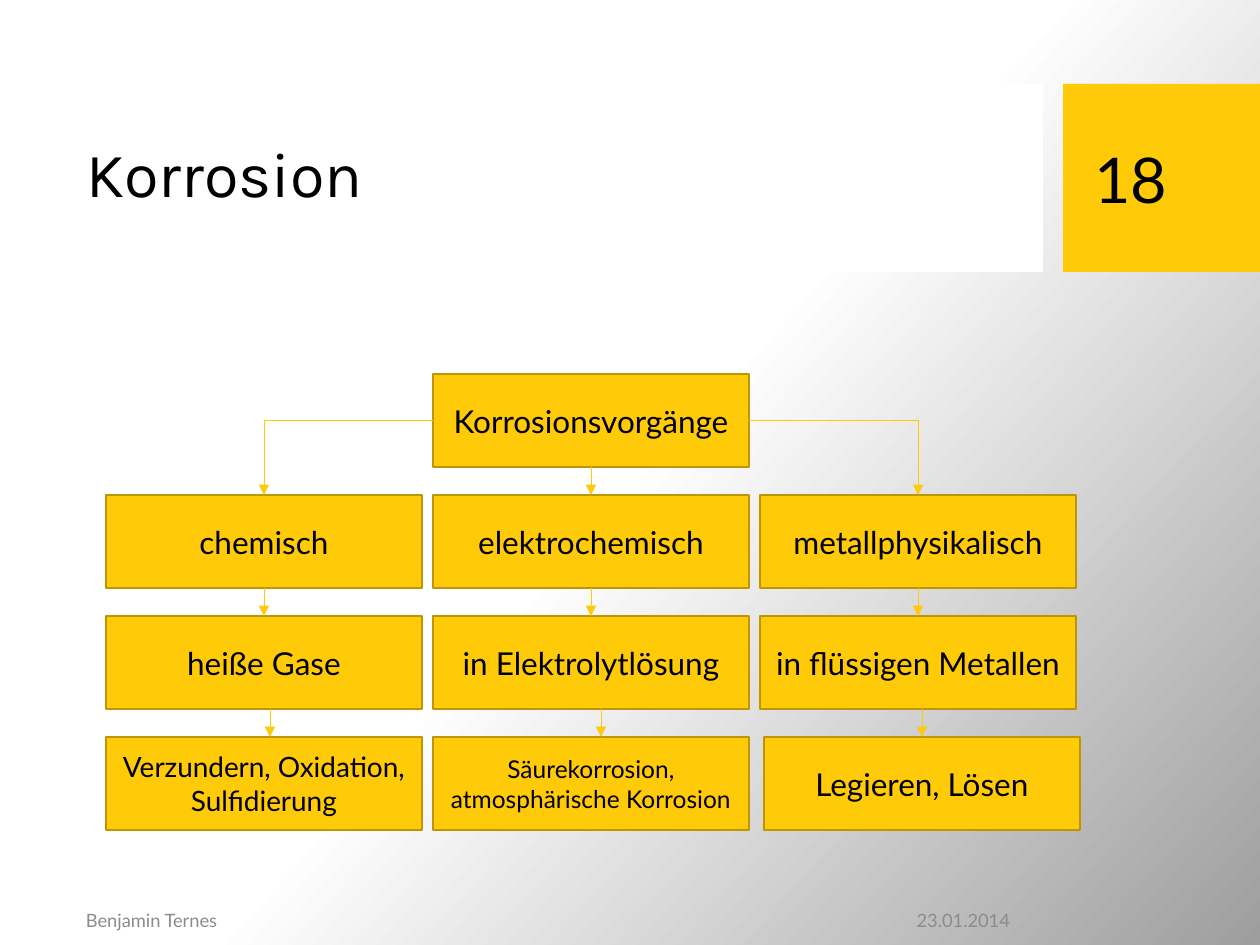
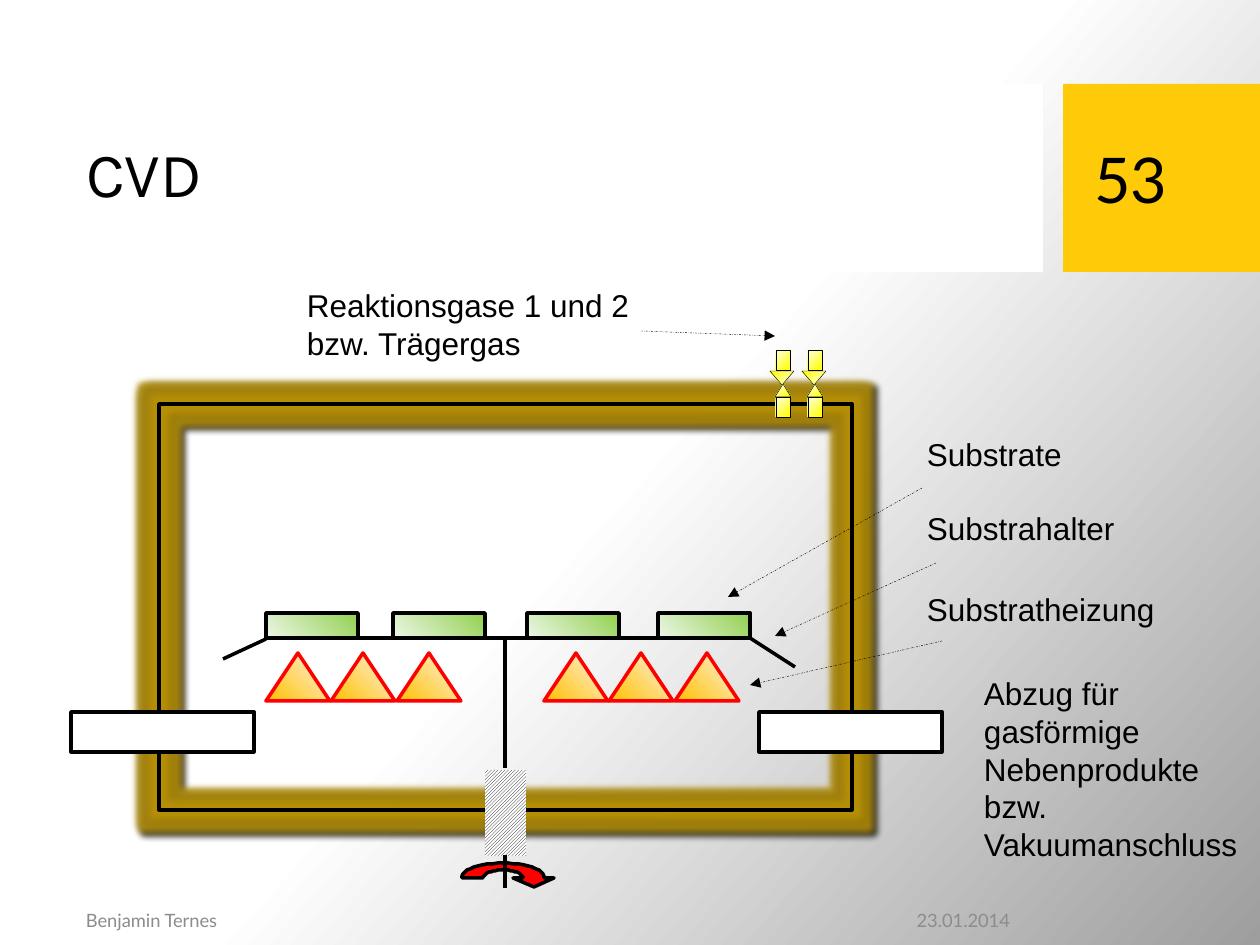
"""Build two slides: a chart of corrosion processes and a CVD reactor sketch."""
import math

from lxml import etree
from pptx import Presentation
from pptx import util as u
from pptx.dml.color import RGBColor
from pptx.enum import dml, shapes, text
from pptx.oxml.ns import qn

PX = 914400 / 126
BLACK, WHITE, GOLD, DARK_GOLD, GREY = "000000", "FFFFFF", "FFCA08", "BD9506", "8C8C8C"
RED = "FF0000"
RECT = shapes.MSO_SHAPE.RECTANGLE
TRIANGLE = shapes.MSO_SHAPE.ISOSCELES_TRIANGLE
STRAIGHT, ELBOW = shapes.MSO_CONNECTOR.STRAIGHT, shapes.MSO_CONNECTOR.ELBOW
LEFT, CENTER, RIGHT = text.PP_ALIGN.LEFT, text.PP_ALIGN.CENTER, text.PP_ALIGN.RIGHT
TOP, MIDDLE = text.MSO_ANCHOR.TOP, text.MSO_ANCHOR.MIDDLE


def paint(fill, *colours, angle=0):
    if not colours:
        fill.background()
    elif len(colours) == 1:
        fill.solid()
        fill.fore_color.rgb = RGBColor.from_string(colours[0])
    else:
        fill.gradient()
        fill.gradient_angle = 360 - angle
        for stop, colour in zip(fill.gradient_stops, colours):
            stop.color.rgb = RGBColor.from_string(colour)


def place(slide, box, words="", kind=None, fill=(), angle=0, line=(), width=1,
          size=18, font="Lato", colour=BLACK, align=LEFT, anchor=MIDDLE,
          inset=(13, 6), spacing=None):
    spot = [round(n * PX) for n in box]
    if kind is None:
        item = slide.shapes.add_textbox(*spot)
    else:
        item = slide.shapes.add_shape(kind, *spot)
        item.shadow.inherit = False
        paint(item.fill, *fill, angle=angle)
        paint(item.line.fill, *line)
        if line:
            item.line.width = u.Pt(width)
    if words:
        frame = item.text_frame
        frame.word_wrap = True
        frame.vertical_anchor = anchor
        frame.margin_left = frame.margin_right = round(inset[0] * PX)
        frame.margin_top = frame.margin_bottom = round(inset[1] * PX)
        for i, part in enumerate(words.split("\n")):
            paragraph = frame.add_paragraph() if i else frame.paragraphs[0]
            paragraph.alignment = align
            paragraph.line_spacing = spacing
            run = paragraph.add_run()
            run.text = part
            run.font.size = u.Pt(size)
            run.font.name = font
            paint(run.font.fill, colour)
    return item


deck = Presentation()
deck.slide_width, deck.slide_height = round(1260 * PX), round(945 * PX)
strokes = []

for title, number in (("Korrosion", "18"), ("CVD", "53")):
    slide = deck.slides.add_slide(deck.slide_layouts[6])
    backdrop = slide.background.fill
    paint(backdrop, WHITE, "9E9E9E", angle=42)
    backdrop.gradient_stops[0].position = 0.5
    place(slide, (0, 84, 1043, 188), kind=RECT, fill=[WHITE])
    place(slide, (1063, 84, 197, 188), kind=RECT, fill=[GOLD])
    place(slide, (73, 103, 950, 149), title, size=36, font="Karla", spacing=0.9)
    place(slide, (740, 895, 283, 50), "23.01.2014", size=10.5, colour=GREY, align=RIGHT)
    place(slide, (73, 895, 667, 50), "Benjamin Ternes", size=10.5, colour=GREY)
    place(slide, (1081, 103, 160, 150), number, size=36)
corrosion, cvd = deck.slides

BOX_W, BOX_H, COLUMN_STEP, ROW_STEP = 316, 93, 327, 121
processes = [
    (0, 1, 0, 18, "Korrosionsvorgänge"),
    (1, 0, 0, 18, "chemisch"),
    (1, 1, 0, 18, "elektrochemisch"),
    (1, 2, 0, 18, "metallphysikalisch"),
    (2, 0, 0, 18, "heiße Gase"),
    (2, 1, 0, 18, "in Elektrolytlösung"),
    (2, 2, 0, 18, "in flüssigen Metallen"),
    (3, 0, 0, 16, "Verzundern, Oxidation, Sulfidierung"),
    (3, 1, 0, 14, "Säurekorrosion,\natmosphärische Korrosion"),
    (3, 2, 4, 18, "Legieren, Lösen"),
]
boxes = {}
for row, column, shift, size, words in processes:
    spot = (106 + column * COLUMN_STEP + shift, 374 + row * ROW_STEP, BOX_W, BOX_H)
    boxes[row, column] = place(corrosion, spot, words, kind=RECT, fill=[GOLD],
                               line=[DARK_GOLD], size=size, align=CENTER)

root = boxes[0, 1]
joins = [(STRAIGHT, root, 2, boxes[1, 1]),
         (ELBOW, root, 1, boxes[1, 0]),
         (ELBOW, root, 3, boxes[1, 2])]
joins += [(STRAIGHT, boxes[1, column], 2, boxes[2, column]) for column in range(3)]
for kind, source, side, target in joins:
    arrow = corrosion.shapes.add_connector(kind, 0, 0, 0, 0)
    arrow.begin_connect(source, side)
    arrow.end_connect(target, 0)
    if kind == ELBOW:
        arrow._element.spPr.find(qn("a:prstGeom")).set("prst", "bentConnector2")
    strokes.append((arrow, GOLD, 0.5, None, True))
for column, x in enumerate((270, 601, 922)):
    ends = [round(n * PX) for n in (x, 709, x, 737)]
    arrow = corrosion.shapes.add_connector(STRAIGHT, *ends)
    if column == 2:
        arrow.end_connect(boxes[3, column], 0)
    strokes.append((arrow, GOLD, 0.5, None, True))

chamber = place(cvd, (159, 404, 693, 406), kind=RECT, line=[BLACK], width=2)
effects = chamber._element.spPr.find(qn("a:effectLst"))
glow = etree.SubElement(effects, qn("a:glow"), rad="101600")
glow_colour = etree.SubElement(glow, qn("a:srgbClr"), val=DARK_GOLD)
etree.SubElement(glow_colour, qn("a:alpha"), val="80000")
shade = etree.SubElement(effects, qn("a:outerShdw"), dist="35560", dir="2700000")
etree.SubElement(shade, qn("a:srgbClr"), val=BLACK)

for x in (71, 759):
    place(cvd, (x, 712, 183, 40), kind=RECT, fill=[WHITE], line=[BLACK], width=2)

shaft = place(cvd, (485, 770, 41, 86), kind=RECT)
shaft.fill.patterned()
shaft.fill.pattern = dml.MSO_PATTERN.DARK_UPWARD_DIAGONAL
shaft.fill.fore_color.rgb = RGBColor.from_string("0C0C0C")
shaft.fill.back_color.rgb = RGBColor.from_string(WHITE)

angles = [math.pi * step / 24 for step in range(25)]
inner = [(503 + 20 * math.cos(a), 878 - 8 * math.sin(a)) for a in angles]
outer = [(503 - 41 * math.cos(a), 878 - 15 * math.sin(a)) for a in angles]
outline = inner + outer + [(554, 878), (534, 887), (513, 878)]
builder = cvd.shapes.build_freeform(*outline[0], scale=PX)
builder.add_line_segments(outline[1:], close=True)
rotation = builder.convert_to_shape()
rotation.shadow.inherit = False
paint(rotation.fill, RED)
paint(rotation.line.fill, BLACK)
rotation.line.width = u.Pt(2)

for x in (266, 393, 527, 658):
    place(cvd, (x, 613, 92, 25), kind=RECT, fill=["EEF7E9", "92D050"], angle=315,
          line=[BLACK], width=2)
for start in (266, 544):
    for offset in (0, 65, 131):
        place(cvd, (start + offset, 653, 64, 48), kind=TRIANGLE,
              fill=["FFC000", "FFF4E7"], angle=315, line=[RED], width=2)

valve_parts = [(6, 397, 14, 20, RECT, 0), (5, 384, 16, 13, TRIANGLE, 0),
               (0, 371, 24, 14, TRIANGLE, 180), (6, 350, 14, 20, RECT, 0)]
for valve_x in (770, 802):
    for x, y, w, h, kind, turn in valve_parts:
        part = place(cvd, (valve_x + x, y, w, h), kind=kind, fill=["FFFFE7", "FFFF00"],
                     angle=45, line=[BLACK], width=0.25)
        part.rotation = turn

holder_lines = [(505, 855, 505, 888), (505, 768, 505, 638), (266, 638, 750, 638),
                (266, 639, 223, 659), (795, 667, 750, 638)]
pointers = [(641, 331, 775, 336), (922, 488, 728, 597),
            (942, 641, 750, 685), (936, 563, 775, 636)]
for group, width, dash, headed in ((holder_lines, 2, None, False),
                                   (pointers, 0.25, dml.MSO_LINE.DASH_DOT, True)):
    for ends in group:
        stroke = cvd.shapes.add_connector(STRAIGHT, *[round(n * PX) for n in ends])
        strokes.append((stroke, BLACK, width, dash, headed))

labels = [
    ((302, 281, 339, 98), "Reaktionsgase 1 und 2 bzw. Trägergas"),
    ((922, 430, 223, 57), "Substrate"),
    ((922, 504, 223, 57), "Substrahalter"),
    ((922, 585, 278, 57), "Substratheizung"),
    ((979, 669, 281, 194), "Abzug für gasförmige Nebenprodukte bzw. Vakuumanschluss"),
]
for spot, words in labels:
    place(cvd, spot, words, font="Arial", anchor=TOP, inset=(5, 5))

for stroke, colour, width, dash, headed in strokes:
    paint(stroke.line.fill, colour)
    stroke.line.width = u.Pt(width)
    if dash:
        stroke.line.dash_style = dash
    properties = stroke._element.spPr
    if headed:
        etree.SubElement(properties.find(qn("a:ln")), qn("a:tailEnd"), type="triangle")
    etree.SubElement(properties, qn("a:effectLst"))

deck.save("out.pptx")
